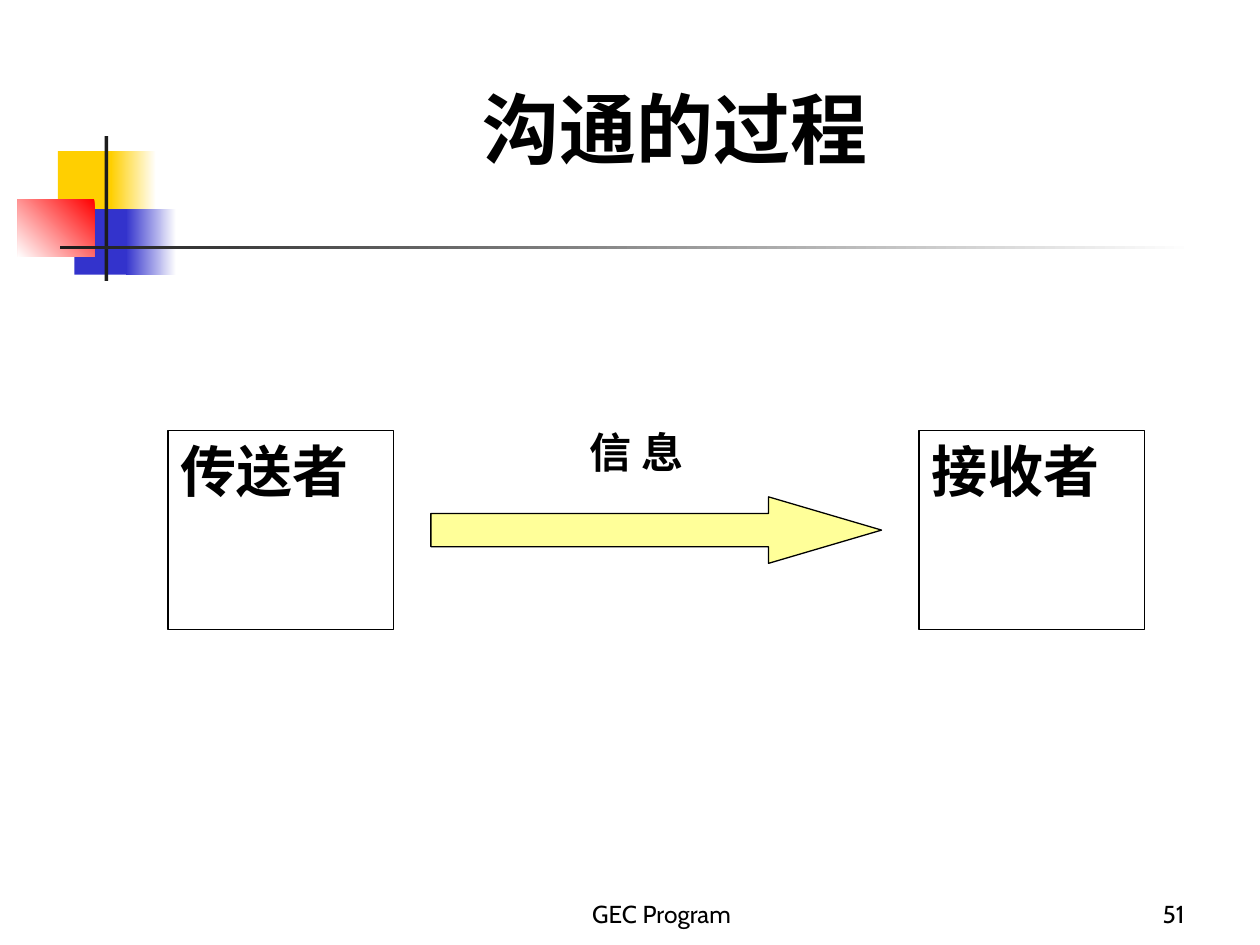
import pptx
import pptx.util
import pptx.dml.color
import pptx.enum.shapes
import pptx.enum.text

Shape = pptx.enum.shapes.MSO_SHAPE
Align = pptx.enum.text.PP_ALIGN
Anchor = pptx.enum.text.MSO_ANCHOR
Fit = pptx.enum.text.MSO_AUTO_SIZE

HUES = {"gold": "FFCF01", "blue": "3333CC", "red": "FF0000", "dark": "1C1C1C",
        "white": "FFFFFF", "black": "000000", "pale": "FFFF99"}


def hue(name):
    return pptx.dml.color.RGBColor.from_string(HUES[name])


def cell(box, grid, spot):
    left, top, width, height = box
    col, row = width / grid[0], height / grid[1]
    x, y, w, h = spot
    return [round(n) for n in (left + x * col, top + y * row, w * col, h * row)]


def draw(slide, kind, box, fill, line=None):
    shape = slide.shapes.add_shape(kind, *box)
    shape.shadow.inherit = False
    shape.fill.solid()
    shape.fill.fore_color.rgb = hue(fill)
    if line:
        shape.line.color.rgb = hue(line)
        shape.line.width = pptx.util.Pt(0.75)
    else:
        shape.line.fill.background()
    return shape


def fade(shape, first, last, angle):
    shape.fill.gradient()
    shape.fill.gradient_angle = angle
    for stop, name in zip(shape.fill.gradient_stops, (first, last)):
        stop.color.rgb = hue(name)


def write(shape, text, size, align, anchor=Anchor.TOP, bold=False, face="Cabin"):
    frame = shape.text_frame
    frame.word_wrap = True
    frame.auto_size = Fit.NONE
    frame.vertical_anchor = anchor
    frame.text = text
    para = frame.paragraphs[0]
    para.alignment = align
    font = para.font
    font.name, font.size, font.bold = face, pptx.util.Pt(size), bold
    font.color.rgb = hue("black")


def motif(slide, box):
    grid = (934, 115)
    parts = [
        ((32, 12, 48, 52), "gold", None),
        ((74, 12, 36, 52), "white", ("gold", 180)),
        ((45, 58, 46, 52), "blue", None),
        ((86, 58, 40, 52), "white", ("blue", 180)),
        ((0, 50, 61, 46), "red", ("white", 225)),
        ((69, 0, 3, 115), "dark", None),
        ((34, 87, 900, 3), "white", ("dark", 180)),
    ]
    for spot, fill, blend in parts:
        shape = draw(slide, Shape.RECTANGLE, cell(box, grid, spot), fill)
        if blend:
            fade(shape, fill, *blend)


def head(slide, box):
    title = slide.shapes.title
    title.left, title.top, title.width, title.height = box
    write(title, "沟通的过程 ", 44, Align.CENTER, Anchor.BOTTOM, True)


def flow(slide, box):
    grid = (13, 20)
    for x, text in ((0, "传送者"), (10, "接收者")):
        node = draw(slide, Shape.RECTANGLE, cell(box, grid, (x, 1, 3, 19)),
                    "white", "black")
        write(node, text, 32, Align.JUSTIFY, bold=True, face="Times New Roman")
    arrow = draw(slide, Shape.RIGHT_ARROW, cell(box, grid, (3.5, 7.33, 6, 6.33)),
                 "pale", "black")
    arrow.adjustments[0] = 0.5
    arrow.adjustments[1] = 1.7
    label = slide.shapes.add_textbox(*cell(box, grid, (5.45, 0, 1.82, 6)))
    write(label, "信 息", 24, Align.LEFT, bold=True)
    label.text_frame.auto_size = Fit.SHAPE_TO_FIT_TEXT


def foot(slide, box):
    grid = (70, 1)
    for spot, text, align in (((0, 0, 38, 1), "GEC Program", Align.CENTER),
                              ((45, 0, 25, 1), "51", Align.RIGHT)):
        note = slide.shapes.add_textbox(*cell(box, grid, spot))
        write(note, text, 14, align, Anchor.BOTTOM)


def main():
    deck = pptx.Presentation()
    deck.slide_width = pptx.util.Inches(10)
    deck.slide_height = pptx.util.Inches(7.5)
    slide = deck.slides.add_slide(deck.slide_layouts[5])
    page = (0, 0, deck.slide_width, deck.slide_height)
    share = (100, 100)
    motif(slide, cell(page, share, (1.4, 14.4, 93.4, 15.33)))
    head(slide, cell(page, share, (11.7, 6.67, 85.2, 12.4)))
    flow(slide, cell(page, share, (13.33, 44.44, 77.5, 22.22)))
    foot(slide, cell(page, share, (36.67, 92.22, 58.33, 6.67)))
    deck.save("out.pptx")


if __name__ == "__main__":
    main()
